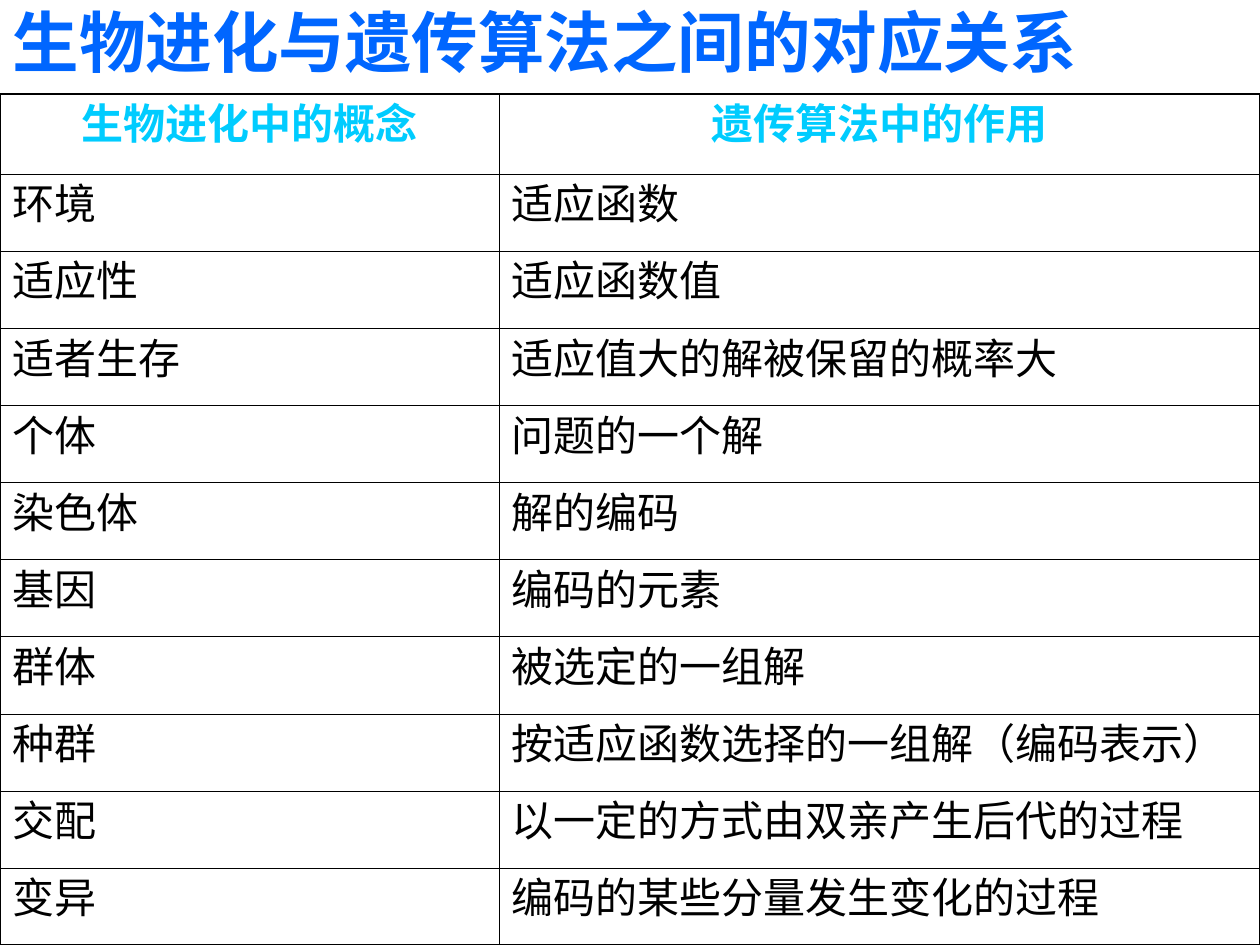
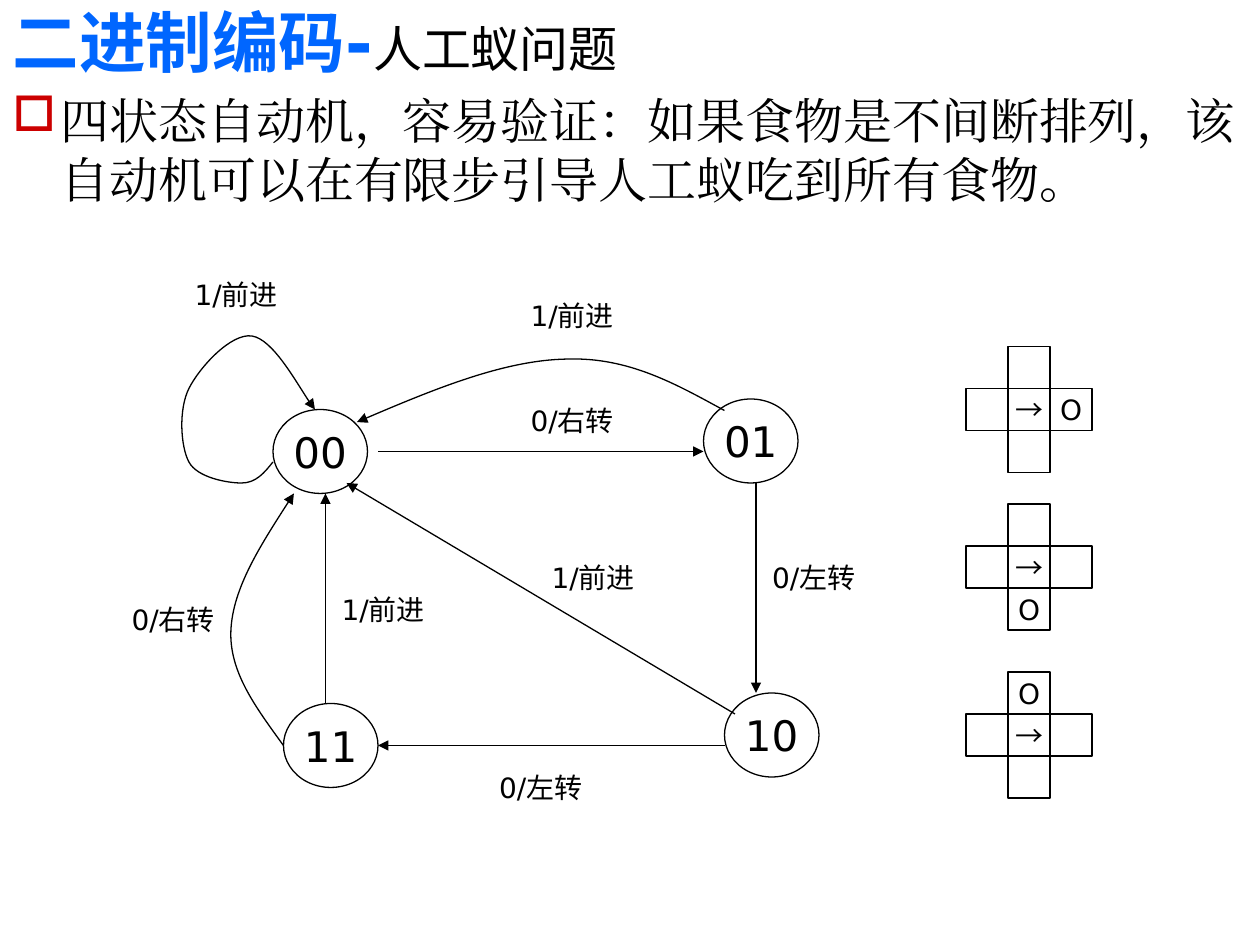
from lxml import etree
from pptx import Presentation
from pptx.dml.color import RGBColor
from pptx.enum import shapes, text
from pptx.oxml import ns
from pptx.util import Cm, Pt

COLORS = {"title": "0066FF", "header": "00CCFF", "ink": "000000", "bullet": "CC0000"}
SANS, SERIF, CJK = "DejaVu Sans", "Times New Roman", "Noto Sans CJK SC"
TITLE_ONLY = 5
GRID = 2.54 / 12  # the diagram sits on a grid of twelve steps to the inch

CONCEPTS = [
    ("生物进化中的概念", "遗传算法中的作用"),
    ("环境", "适应函数"),
    ("适应性", "适应函数值"),
    ("适者生存", "适应值大的解被保留的概率大"),
    ("个体", "问题的一个解"),
    ("染色体", "解的编码"),
    ("基因", "编码的元素"),
    ("群体", "被选定的一组解"),
    ("种群", "按适应函数选择的一组解（编码表示）"),
    ("交配", "以一定的方式由双亲产生后代的过程"),
    ("变异", "编码的某些分量发生变化的过程"),
]

# Diagram data, in grid steps
STATES = {"00": (26, 39), "11": (27, 67), "10": (69, 66), "01": (67, 38)}
STRAIGHT_MOVES = [
    ((36, 43), (67, 43)),
    ((72, 46), (72, 66)),
    ((69, 71), (36, 71)),
    ((70, 68), (33, 46)),
    ((31, 67), (31, 47)),
]
CURVED_MOVES = [  # start, then two control points and an end for each curve
    [(26, 44), (25.2, 45), (24.4, 46), (23, 46), (21.7, 46), (18.8, 45.5), (18, 44),
     (17.2, 42.5), (17, 39), (18, 37), (19, 35), (22, 31.7), (24, 32),
     (26, 32.3), (29, 37.8), (30, 39)],
    [(69, 39.1), (64.4, 36.6), (59.9, 34), (54, 34.2),
     (48.1, 34.3), (41, 37.2), (34, 40.2)],
    [(27, 71), (24.4, 67.4), (21.8, 64), (22, 60),
     (22.2, 56), (25.1, 51.5), (28, 47)],
]
MOVE_LABELS = [
    ("1/前进", 18, 25), ("1/前进", 50, 27), ("0/右转", 50, 37), ("0/左转", 73, 52),
    ("0/左转", 47, 72), ("0/右转", 12, 56), ("1/前进", 52, 52), ("1/前进", 32, 55),
]
CELL = 4
RIGHT, BELOW, ABOVE, LEFT = (1, 0), (0, 1), (0, -1), (-1, 0)
FOOD_CROSSES = [(37, RIGHT), (52, BELOW), (68, ABOVE)]  # top of centre cell, food side
CROSS_LEFT = 96


def color(name):
    return RGBColor.from_string(COLORS[name])


def steps(*counts):
    return [Cm(count * GRID) for count in counts]


def add_element(parent, tag, **attributes):
    return etree.SubElement(parent, ns.qn(tag), attributes)


def set_font(para, size, ink="ink", name=SANS, bold=False):
    font = para.font
    font.size, font.bold, font.name = Pt(size), bold, name
    font.color.rgb = color(ink)
    add_element(para._p.pPr.find(ns.qn("a:defRPr")), "a:ea", typeface=name)


def set_frame(frame, anchor, wrap):
    frame.auto_size = text.MSO_AUTO_SIZE.NONE
    frame.word_wrap = wrap
    frame.vertical_anchor = anchor


def add_page(deck, title, subtitle=""):
    page = deck.slides.add_slide(deck.slide_layouts[TITLE_ONLY])
    box = page.shapes.title
    box.left, box.top, box.width, box.height = Cm(0), Cm(0), Cm(22.4), Cm(1.75)
    set_frame(box.text_frame, text.MSO_ANCHOR.BOTTOM, True)
    para = box.text_frame.paragraphs[0]
    para.alignment = text.PP_ALIGN.LEFT
    set_font(para, 38, "title", bold=True)
    para.add_run().text = title
    if subtitle:
        span = para.add_run()
        span.text = subtitle
        span.font.size, span.font.bold = Pt(28), False
        span.font.color.rgb = color("ink")
    return page


# Table
def set_borders(cell, outer_sides):
    properties = cell._tc.get_or_add_tcPr()
    for side in "LRTB":
        width = Pt(1.08 if side in outer_sides else 0.45)
        line = add_element(properties, f"a:ln{side}", w=str(width))
        fill = add_element(line, "a:solidFill")
        add_element(fill, "a:srgbClr", val=COLORS["ink"])


def add_concept_table(page, rows):
    table = page.shapes.add_table(
        len(rows), 2, Cm(0), Cm(1.9), Cm(25.4), Cm(17.15)).table
    table.first_row = table.horz_banding = False
    table.columns[0].width, table.columns[1].width = Cm(10.06), Cm(15.34)
    for r, row in enumerate(rows):
        header = r == 0
        table.rows[r].height = Cm(1.62 if header else 1.553)
        for c, words in enumerate(row):
            cell = table.cell(r, c)
            cell.text = words
            para = cell.text_frame.paragraphs[0]
            para.space_before = Pt(6)
            para.alignment = text.PP_ALIGN.CENTER if header else text.PP_ALIGN.LEFT
            set_font(para, 24, "header" if header else "ink", bold=header)
            outer = "LR"[c] + ("T" if header else "")
            set_borders(cell, outer + ("B" if r == len(rows) - 1 else ""))
            cell.fill.background()


# Text
def add_bullet(page, words):
    box = page.shapes.add_textbox(Cm(0), Cm(1.7), Cm(25.4), Cm(17.35))
    set_frame(box.text_frame, text.MSO_ANCHOR.TOP, True)
    para = box.text_frame.paragraphs[0]
    para.text = words
    para.space_before = Pt(7)
    properties = para._p.get_or_add_pPr()
    properties.set("marL", str(Cm(0.97)))
    properties.set("indent", str(-Cm(0.97)))
    add_element(add_element(properties, "a:buClr"), "a:srgbClr", val=COLORS["bullet"])
    add_element(properties, "a:buChar", char="□")
    set_font(para, 28, name=SERIF)


def write_centered(shape, words, size, name=SANS):
    set_frame(shape.text_frame, text.MSO_ANCHOR.MIDDLE, False)
    para = shape.text_frame.paragraphs[0]
    para.text = words
    para.alignment = text.PP_ALIGN.CENTER
    set_font(para, size, name=name)


# Diagram
def draw_line(shape, arrow=False):
    shape.line.color.rgb = color("ink")
    shape.line.width = Pt(0.75)
    if arrow:
        add_element(shape.line._get_or_add_ln(), "a:tailEnd", type="triangle")


def add_outline(group, preset, left, top, width, height):
    shape = group.shapes.add_shape(preset, *steps(left, top, width, height))
    shape.shadow.inherit = False
    shape.fill.background()
    draw_line(shape)
    return shape


def add_state(group, name, left, top):
    circle = add_outline(group, shapes.MSO_SHAPE.OVAL, left, top, 9, 8)
    write_centered(circle, name, 24)


def add_straight_arrow(group, start, end):
    arrow = group.shapes.add_connector(
        shapes.MSO_CONNECTOR.STRAIGHT, *steps(*start, *end))
    draw_line(arrow, arrow=True)
    add_element(arrow._element.spPr, "a:effectLst")


def add_curved_arrow(group, points):
    start, *rest = [steps(*point) for point in points]
    builder = group.shapes.build_freeform(*start)
    builder.add_line_segments(rest, close=False)
    arrow = builder.convert_to_shape()
    arrow.shadow.inherit = False
    arrow.fill.background()
    draw_line(arrow, arrow=True)
    # Turn every three segments into one Bézier curve
    outline = arrow._element.find(".//" + ns.qn("a:path"))
    segments = outline.findall(ns.qn("a:lnTo"))
    for i, segment in enumerate(segments):
        if i % 3 == 0:
            curve = add_element(outline, "a:cubicBezTo")
        curve.append(segment[0])
        outline.remove(segment)


def add_move_label(group, words, left, top):
    box = group.shapes.add_textbox(*steps(left, top, 9, 6))
    write_centered(box, words, 16)


def add_food_cross(page, top, food_side):
    group = page.shapes.add_group_shape()
    for side in [(0, 0), BELOW, RIGHT, ABOVE, LEFT]:
        cell = add_outline(group, shapes.MSO_SHAPE.RECTANGLE, CROSS_LEFT + side[0] * CELL,
                           top + side[1] * CELL, CELL, CELL)
        if side == (0, 0):
            write_centered(cell, "→", 16, CJK)
        elif side == food_side:
            write_centered(cell, "O", 16)


def add_automaton(page):
    group = page.shapes.add_group_shape()
    for name, corner in STATES.items():
        add_state(group, name, *corner)
    for start, end in STRAIGHT_MOVES:
        add_straight_arrow(group, start, end)
    for points in CURVED_MOVES:
        add_curved_arrow(group, points)
    for label in MOVE_LABELS:
        add_move_label(group, *label)


def main():
    deck = Presentation()
    deck.slide_width, deck.slide_height = Cm(25.4), Cm(19.05)

    # Concepts table
    page = add_page(deck, "生物进化与遗传算法之间的对应关系")
    add_concept_table(page, CONCEPTS)

    # Artificial ant
    page = add_page(deck, "二进制编码-", "人工蚁问题")
    add_bullet(page, "四状态自动机，容易验证：如果食物是不间断排列，"
                     "该自动机可以在有限步引导人工蚁吃到所有食物。")
    add_automaton(page)
    for top, food_side in FOOD_CROSSES:
        add_food_cross(page, top, food_side)

    deck.save("out.pptx")


if __name__ == "__main__":
    main()
